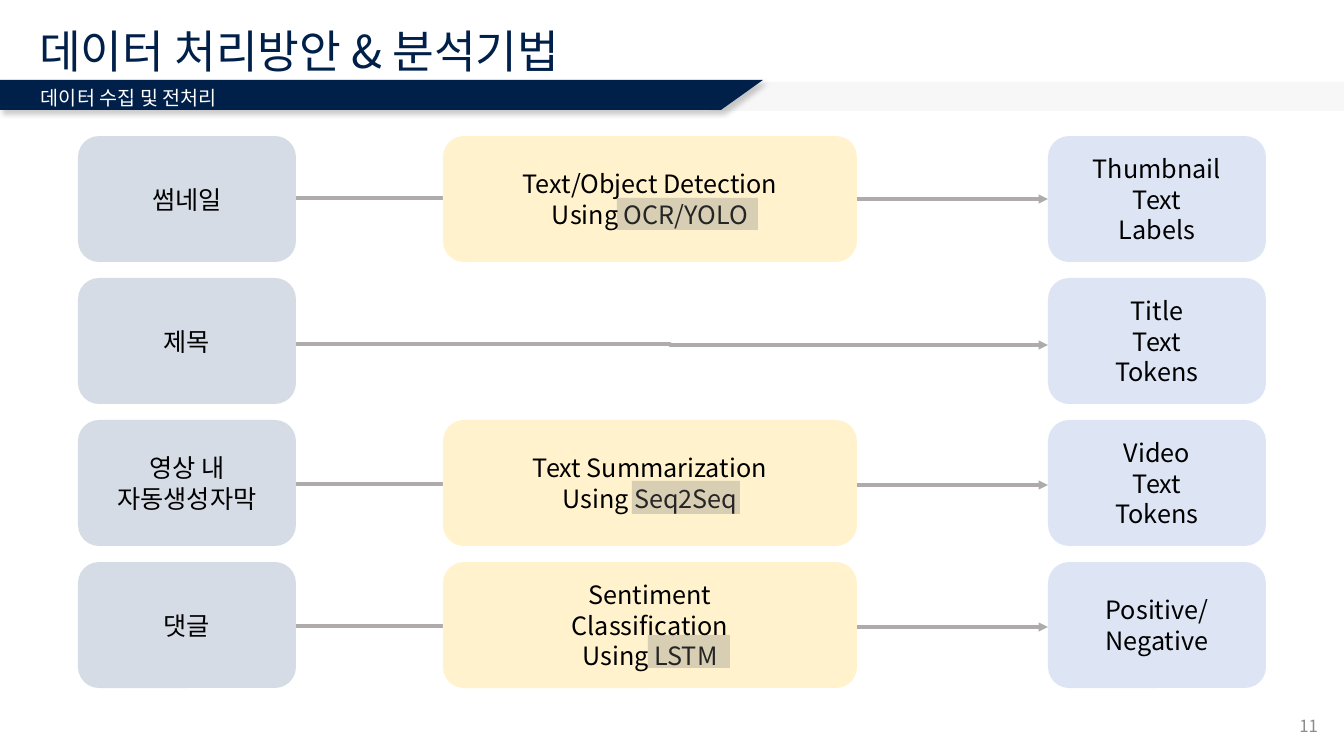
from lxml import etree
from pptx import Presentation
from pptx.dml.color import RGBColor
from pptx.enum.shapes import MSO_CONNECTOR, MSO_SHAPE
from pptx.enum.text import MSO_ANCHOR, MSO_AUTO_SIZE, PP_ALIGN
from pptx.oxml.ns import qn
from pptx.util import Pt

ROUNDED, RECTANGLE = MSO_SHAPE.ROUNDED_RECTANGLE, MSO_SHAPE.RECTANGLE
ELBOW = MSO_CONNECTOR.ELBOW
LEFT, CENTER, RIGHT = PP_ALIGN.LEFT, PP_ALIGN.CENTER, PP_ALIGN.RIGHT
TOP, MIDDLE = MSO_ANCHOR.TOP, MSO_ANCHOR.MIDDLE

PX = 914400 / 100.8
FONT = "Noto Sans CJK KR"

NAVY = RGBColor(0x00, 0x20, 0x4A)
PALE_GRAY = RGBColor(0xF7, 0xF7, 0xF7)
SLATE = RGBColor(0xD6, 0xDC, 0xE5)
CREAM = RGBColor(0xFF, 0xF2, 0xCC)
PALE_BLUE = RGBColor(0xDA, 0xE3, 0xF3)
LINE_GRAY = RGBColor(0xAF, 0xAB, 0xAB)
MARKER_GRAY = RGBColor(0x7C, 0x7C, 0x7C)
NUMBER_GRAY = RGBColor(0x8C, 0x8C, 0x8C)
BLACK = RGBColor(0x00, 0x00, 0x00)
WHITE = RGBColor(0xFF, 0xFF, 0xFF)

TITLE = "데이터 처리방안 & 분석기법"
SUBTITLE = "데이터 수집 및 전처리"
PAGE_NUMBER = "11"

# source, method, result, arrow height
FLOWS = [
    ("썸네일", "Text/Object Detection\nUsing OCR/YOLO", "Thumbnail\nText\nLabels", 198),
    ("제목", None, "Title\nText\nTokens", 344),
    ("영상 내\n자동생성자막", "Text Summarization\nUsing Seq2Seq", "Video\nText\nTokens", 484),
    ("댓글", "Sentiment\nClassification\nUsing LSTM", "Positive/\nNegative", 626),
]
MODEL_MARKERS = [(617, 198, 141, 32), (632, 481, 108, 33), (648, 635, 82, 33)]

SOURCE_COLUMN = (78, 218)
METHOD_COLUMN = (443, 414)
RESULT_COLUMN = (1048, 218)
FIRST_ROW, ROW_STEP, BOX_HEIGHT = 136, 142, 126
ARROW_START = 292

GRAY_BAND = [(1344, 111), (710, 111), (745, 82), (1344, 82)]
NAVY_BAND = [(0, 80), (763, 80), (721, 110), (0, 110)]


def emu(*lengths):
    return [round(length * PX) for length in lengths]


def write(shape, text, size, color, align=LEFT, anchor=MIDDLE):
    frame = shape.text_frame
    frame.text = text
    frame.word_wrap = True
    frame.auto_size = MSO_AUTO_SIZE.NONE
    frame.vertical_anchor = anchor
    for para in frame.paragraphs:
        para.alignment = align
        for span in para.runs:
            span.font.size = Pt(size)
            span.font.name = FONT
            span.font.color.rgb = color
            east_asian = etree.SubElement(span.font._element, qn("a:ea"))
            east_asian.set("typeface", FONT)


def paint(shape, color, opacity=100):
    shape.shadow.inherit = False
    shape.line.fill.background()
    shape.fill.solid()
    shape.fill.fore_color.rgb = color
    if opacity < 100:
        color_element = shape._element.spPr.find(".//" + qn("a:srgbClr"))
        etree.SubElement(color_element, qn("a:alpha"), val=str(opacity * 1000))


def add_band(page, points, color):
    builder = page.shapes.build_freeform(*points[0], scale=PX)
    builder.add_line_segments(points[1:], close=True)
    band = builder.convert_to_shape()
    paint(band, color)
    return band


def add_drop_shadow(shape):
    effects = shape._element.spPr.find(qn("a:effectLst"))
    shadow = etree.SubElement(effects, qn("a:outerShdw"), blurRad=str(Pt(4)),
                              dist=str(Pt(3)), dir="2700000", algn="tl", rotWithShape="0")
    tint = etree.SubElement(shadow, qn("a:srgbClr"), val="000000")
    etree.SubElement(tint, qn("a:alpha"), val="20000")


def add_arrow(page, y):
    arrow = page.shapes.add_connector(ELBOW, *emu(ARROW_START, y, RESULT_COLUMN[0], y + 1))
    arrow.line.color.rgb = LINE_GRAY
    arrow.line.width = Pt(2.25)
    properties = arrow._element.spPr
    etree.SubElement(properties.find(qn("a:ln")), qn("a:tailEnd"), type="triangle")
    etree.SubElement(properties, qn("a:effectLst"))


def add_box(page, column, top, text, color, opacity=100):
    left, width = column
    box = page.shapes.add_shape(ROUNDED, *emu(left, top, width, BOX_HEIGHT))
    paint(box, color, opacity)
    write(box, text, 18, BLACK, CENTER)


def add_label(page, place, text, size, color, align, anchor):
    label = page.shapes.add_textbox(*emu(*place))
    write(label, text, size, color, align, anchor)


def main():
    deck = Presentation()
    deck.slide_width, deck.slide_height = emu(1344, 756)
    page = deck.slides.add_slide(deck.slide_layouts[5])

    title = page.shapes.title
    title.left, title.top, title.width, title.height = emu(29, 23, 678, 61)
    write(title, TITLE, 32.4, NAVY)
    title.text_frame.paragraphs[0].line_spacing = 0.9

    add_band(page, GRAY_BAND, PALE_GRAY)
    add_drop_shadow(add_band(page, NAVY_BAND, NAVY))
    add_label(page, (31, 81, 331, 34), SUBTITLE, 14, WHITE, LEFT, TOP)
    add_label(page, (1266, 706, 62, 40), PAGE_NUMBER, 12, NUMBER_GRAY, RIGHT, MIDDLE)

    for row, (source, method, result, arrow_y) in enumerate(FLOWS):
        top = FIRST_ROW + row * ROW_STEP
        add_arrow(page, arrow_y)
        add_box(page, SOURCE_COLUMN, top, source, SLATE)
        if method:
            add_box(page, METHOD_COLUMN, top, method, CREAM)
        add_box(page, RESULT_COLUMN, top, result, PALE_BLUE, 90)

    for place in MODEL_MARKERS:
        marker = page.shapes.add_shape(RECTANGLE, *emu(*place))
        paint(marker, MARKER_GRAY, 30)

    deck.save("out.pptx")


if __name__ == "__main__":
    main()
